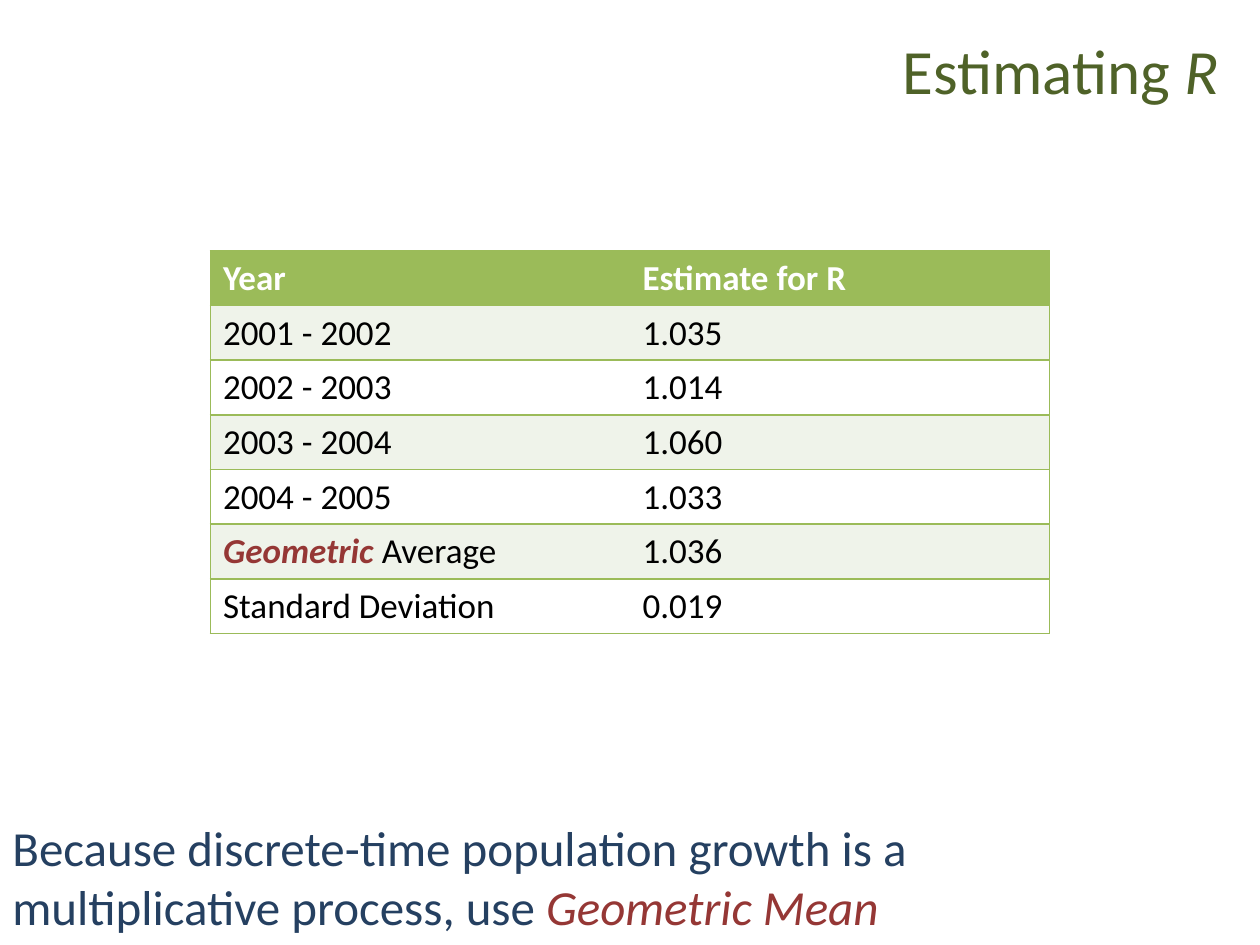
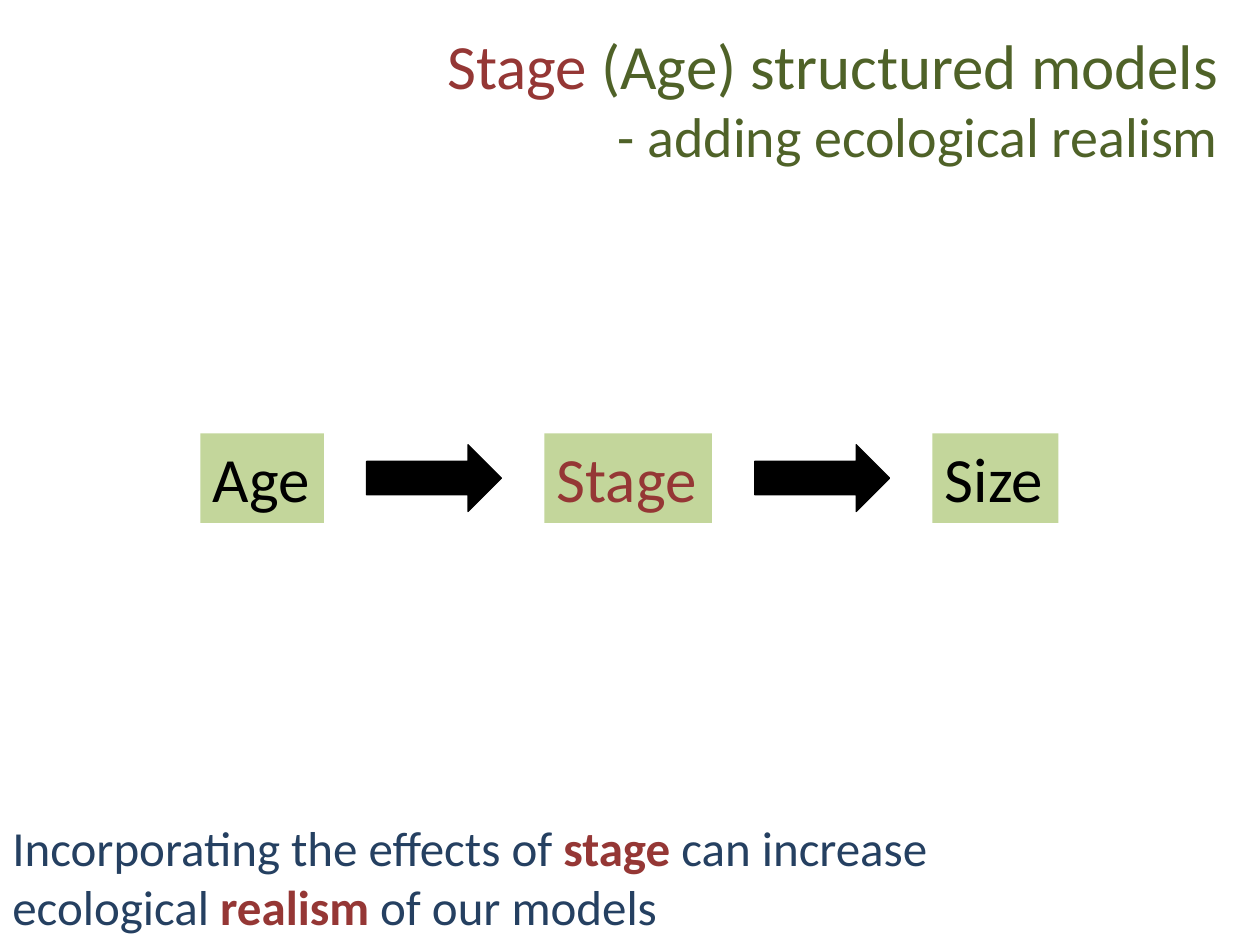
from lxml.etree import SubElement
from pptx import Presentation
from pptx.dml.color import RGBColor
from pptx.enum.shapes import MSO_SHAPE as Shape
from pptx.enum.text import MSO_ANCHOR as Anchor, PP_ALIGN as Align
from pptx.oxml.ns import qn
from pptx.util import Inches, Pt

FONT = "Calibri"
OLIVE, NAVY, RED = "4F6228", "254061", "953735"
GREEN, PALE_GREEN, BOX_GREEN = "9BBB59", "EFF3EA", "C3D69B"
BLACK, WHITE = "000000", "FFFFFF"

ESTIMATING_TITLE = [("Estimating ", {}), ("R", {"italic": True})]
ESTIMATING_NOTE = [
    ("Because discrete-time population growth is a multiplicative process, use ", {}),
    ("Geometric Mean", {"color": RED, "italic": True}),
]
ESTIMATES = [
    ("Year", "Estimate for R"),
    ("2001 - 2002", "1.035"),
    ("2002 - 2003", "1.014"),
    ("2003 - 2004", "1.060"),
    ("2004 - 2005", "1.033"),
    ([("Geometric ", {"color": RED, "bold": True, "italic": True}), ("Average", {})], "1.036"),
    ("Standard Deviation", "0.019"),
]

STAGE_TITLE = [
    ("Stage", {"color": RED}),
    (" (Age) structured models\n", {}),
    ("- adding ecological realism", {"size": 32}),
]
STAGE_NOTE = [
    ("Incorporating the effects of ", {}),
    ("stage ", {"color": RED, "bold": True}),
    ("can increase ecological ", {}),
    ("realism ", {"color": RED, "bold": True}),
    ("of our models", {}),
]
STRUCTURES = [("Age", 0.98, BLACK), ("Stage", 1.33, RED), ("Size", 1.0, BLACK)]


def rgb(color):
    return RGBColor.from_string(color)


def write(frame, text, align=Align.LEFT, **base):
    paragraph = frame.paragraphs[0]
    paragraph.alignment = align
    runs = [(text, {})] if isinstance(text, str) else text
    for words, changes in runs:
        style = {"size": 20, "color": BLACK, "bold": False, "italic": False, **base, **changes}
        run = paragraph.add_run()
        run.text = words.rstrip("\n")
        font = run.font
        font.name, font.size = FONT, Pt(style["size"])
        font.bold, font.italic = style["bold"], style["italic"]
        font.color.rgb = rgb(style["color"])
        if words.endswith("\n"):
            paragraph.add_line_break()


def add_text(slide, text, left, top, width, height, anchor=Anchor.TOP, **style):
    box = slide.shapes.add_textbox(*map(Inches, (left, top, width, height)))
    box.text_frame.word_wrap = True
    box.text_frame.vertical_anchor = anchor
    write(box.text_frame, text, **style)


def add_slide(deck, title, note, title_height):
    slide = deck.slides.add_slide(deck.slide_layouts[6])
    add_text(slide, title, 0.29, 0.12, 9.48, title_height, anchor=Anchor.MIDDLE,
             align=Align.RIGHT, size=36, color=OLIVE)
    add_text(slide, note, 0, 6.44, 9.01, 1.04, size=28, color=NAVY)
    return slide


def set_borders(cell, sides):
    properties = cell._tc.get_or_add_tcPr()
    for side in "LRTB":
        border = SubElement(properties, qn(f"a:ln{side}"), w=str(Pt(1)))
        if side in sides:
            fill = SubElement(border, qn("a:solidFill"))
            SubElement(fill, qn("a:srgbClr"), val=GREEN)
        else:
            SubElement(border, qn("a:noFill"))


def add_estimates(slide):
    row_height, column_width = 0.433, 3.33
    table = slide.shapes.add_table(
        len(ESTIMATES), 2, Inches(1.67), Inches(1.99),
        Inches(2 * column_width), Inches(len(ESTIMATES) * row_height)).table
    table.first_row = table.horz_banding = False
    for r, estimate in enumerate(ESTIMATES):
        is_header = r == 0
        band = GREEN if is_header else PALE_GREEN if r % 2 else WHITE
        for c, text in enumerate(estimate):
            cell = table.cell(r, c)
            set_borders(cell, ("LTB", "RTB")[c])
            cell.fill.solid()
            cell.fill.fore_color.rgb = rgb(band)
            write(cell.text_frame, text, bold=is_header,
                  color=WHITE if is_header else BLACK)


def add_block(slide, kind, left, width, height, fill, line=None):
    middle = 3.795
    block = slide.shapes.add_shape(
        kind, *map(Inches, (left, middle - height / 2, width, height)))
    block.shadow.inherit = False
    block.fill.solid()
    block.fill.fore_color.rgb = rgb(fill)
    if line:
        block.line.color.rgb = rgb(line)
        block.line.width = Pt(0.75)
    else:
        block.line.fill.background()
    return block


def add_structures(slide):
    left, gap, arrow_width = 1.59, 0.34, 1.07
    for i, (name, width, color) in enumerate(STRUCTURES):
        if i:
            add_block(slide, Shape.RIGHT_ARROW, left, arrow_width, 0.53, BLACK, line=BLACK)
            left += arrow_width + gap
        box = add_block(slide, Shape.RECTANGLE, left, width, 0.71, BOX_GREEN)
        box.text_frame.word_wrap = False
        box.text_frame.vertical_anchor = Anchor.TOP
        write(box.text_frame, name, size=36, color=color)
        left += width + gap


def main():
    deck = Presentation()
    deck.slide_width, deck.slide_height = Inches(10), Inches(7.5)
    add_estimates(add_slide(deck, ESTIMATING_TITLE, ESTIMATING_NOTE, 0.86))
    add_structures(add_slide(deck, STAGE_TITLE, STAGE_NOTE, 1.31))
    deck.save("out.pptx")


if __name__ == "__main__":
    main()
